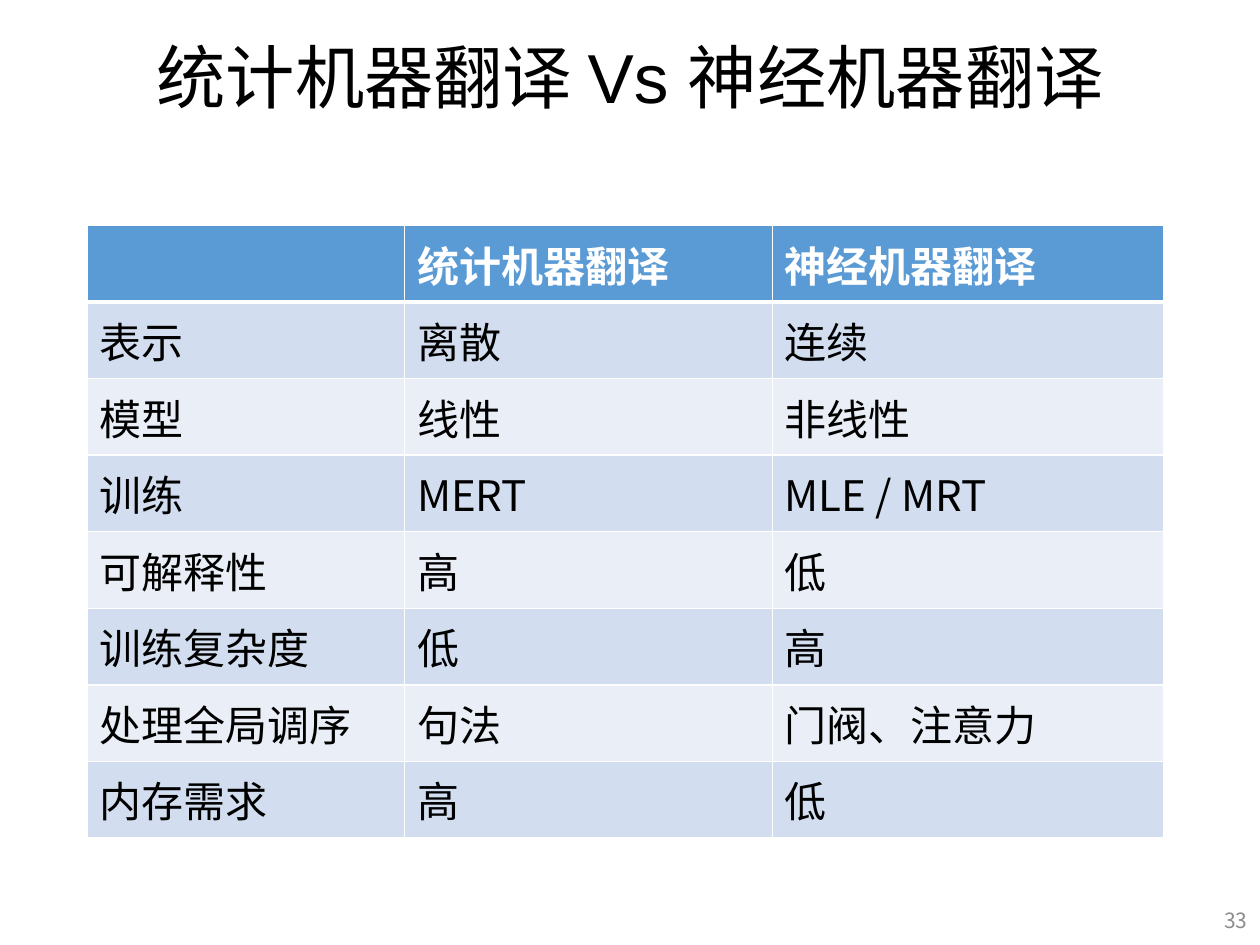
"""Build a slide comparing statistical and neural machine translation."""
from dataclasses import dataclass

import lxml.etree
import pptx
import pptx.dml.color
import pptx.enum.text
import pptx.oxml.ns
import pptx.util

Inches = pptx.util.Inches
Align = pptx.enum.text.PP_ALIGN
Anchor = pptx.enum.text.MSO_ANCHOR
qn = pptx.oxml.ns.qn


@dataclass(frozen=True)
class Theme:
    cjk: str = "Noto Sans CJK SC"
    latin: str = "Arial"
    black: str = "000000"
    white: str = "FFFFFF"
    grey: str = "8C8C8C"
    header: str = "5B9BD5"
    bands: tuple[str, str] = ("D2DEEF", "EAEFF7")
    title_size: float = 39.6
    cell_size: float = 24
    number_size: float = 12
    grid_width: float = 1
    header_rule: float = 3


@dataclass(frozen=True)
class Words:
    text: str
    size: float
    color: str
    font: str
    bold: bool = False


@dataclass(frozen=True)
class Caption:
    box: tuple[float, float, float, float]
    align: Align
    spacing: float
    words: tuple[Words, ...]


THEME = Theme()
TITLE = Caption((0.69, 0.05, 8.62, 1.18), Align.CENTER, 0.9, tuple(
    Words(text, THEME.title_size, THEME.black, font)
    for text, font in (("统计机器翻译 ", THEME.cjk), ("Vs ", THEME.latin), ("神经机器翻译", THEME.cjk))))
PAGE_NUMBER = Caption((7.75, 7.1, 2.25, 0.4), Align.RIGHT, 1.0, (
    Words("33", THEME.number_size, THEME.grey, THEME.cjk),))
TABLE_BOX = (0.69, 1.79, 8.55, 4.86)
COLUMN_WIDTHS = (2.52, 2.92, 3.11)
COMPARISON = (
    ("", "统计机器翻译", "神经机器翻译"),
    ("表示", "离散", "连续"),
    ("模型", "线性", "非线性"),
    ("训练", "MERT", "MLE / MRT"),
    ("可解释性", "高", "低"),
    ("训练复杂度", "低", "高"),
    ("处理全局调序", "句法", "门阀、注意力"),
    ("内存需求", "高", "低"),
)


def rgb(value: str) -> pptx.dml.color.RGBColor:
    return pptx.dml.color.RGBColor.from_string(value)


def apply(target: object, formats: dict[str, object]) -> None:
    for name, value in formats.items():
        setattr(target, name, value)


def write(paragraph, words: Words) -> None:
    run = paragraph.add_run()
    run.text = words.text
    apply(run.font, {"size": pptx.util.Pt(words.size), "bold": words.bold, "name": words.font})
    run.font.color.rgb = rgb(words.color)
    lxml.etree.SubElement(run.font._element, qn("a:ea"), typeface=THEME.cjk)


def add_caption(slide, caption: Caption) -> None:
    frame = slide.shapes.add_textbox(*map(Inches, caption.box)).text_frame
    apply(frame, {"word_wrap": True, "vertical_anchor": Anchor.MIDDLE})
    paragraph = frame.paragraphs[0]
    apply(paragraph, {"alignment": caption.align, "line_spacing": caption.spacing})
    for words in caption.words:
        write(paragraph, words)


def add_borders(cell, widths: dict[str, float]) -> None:
    properties = cell._tc.get_or_add_tcPr()
    for position, (side, width) in enumerate(widths.items()):
        border = lxml.etree.Element(qn(f"a:ln{side}"), w=str(pptx.util.Pt(width)))
        fill = lxml.etree.SubElement(border, qn("a:solidFill"))
        lxml.etree.SubElement(fill, qn("a:srgbClr"), val=THEME.white)
        properties.insert(position, border)


def add_comparison(slide) -> None:
    table = slide.shapes.add_table(
        len(COMPARISON), len(COLUMN_WIDTHS), *map(Inches, TABLE_BOX)).table
    for column, width in zip(table.columns, COLUMN_WIDTHS):
        column.width = Inches(width)
    for index, entries in enumerate(COMPARISON):
        heading = index == 0
        background = THEME.header if heading else THEME.bands[(index - 1) % 2]
        color = THEME.white if heading else THEME.black
        borders = dict.fromkeys("LRTB", THEME.grid_width)
        if index < 2:
            borders["B" if heading else "T"] = THEME.header_rule
        for cell, entry in zip(table.rows[index].cells, entries):
            cell.vertical_anchor = Anchor.MIDDLE
            cell.fill.solid()
            cell.fill.fore_color.rgb = rgb(background)
            add_borders(cell, borders)
            if entry:
                write(cell.text_frame.paragraphs[0],
                      Words(entry, THEME.cell_size, color, THEME.cjk, heading))


def main() -> None:
    deck = pptx.Presentation()
    apply(deck, {"slide_width": Inches(10), "slide_height": Inches(7.5)})
    slide = deck.slides.add_slide(deck.slide_layouts[6])
    for caption in (TITLE, PAGE_NUMBER):
        add_caption(slide, caption)
    add_comparison(slide)
    deck.save("out.pptx")


main()
